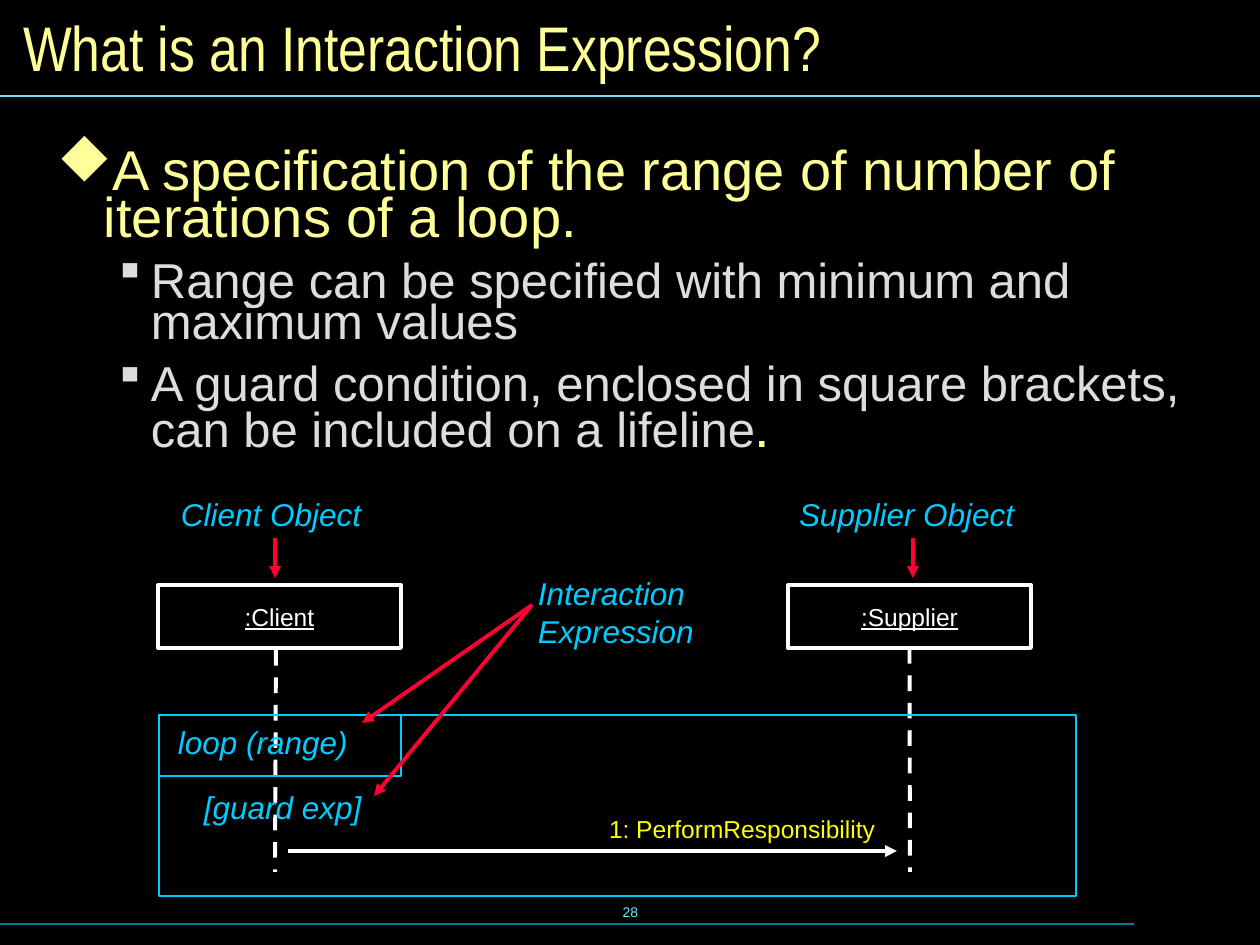
from lxml import etree
from pptx import Presentation
from pptx.dml.color import RGBColor
from pptx.enum.dml import MSO_LINE
from pptx.enum.shapes import MSO_CONNECTOR, MSO_SHAPE
from pptx.enum.text import MSO_ANCHOR, PP_ALIGN
from pptx.oxml.ns import qn
from pptx.util import Pt

STRAIGHT, RECTANGLE, DASH = MSO_CONNECTOR.STRAIGHT, MSO_SHAPE.RECTANGLE, MSO_LINE.DASH
MIDDLE, TOP = MSO_ANCHOR.MIDDLE, MSO_ANCHOR.TOP
CENTER, LEFT = PP_ALIGN.CENTER, PP_ALIGN.LEFT
BOTTOM_SIDE = 2
EMU_PER_PX = 914400 / 126

COLORS = {
    "black": "000000", "white": "FFFFFF", "cream": "FFFF99", "gray": "DDDDDD",
    "yellow": "FFFF00", "cyan": "00CCFF", "red": "FF0033",
    "rule": "73E1FF", "dim rule": "007E9F",
}

TITLE_FORMAT = {"size": 36, "name": "Arial Narrow", "color": "cream"}
POINT_FORMAT = {"size": 32, "color": "cream"}
DETAIL_FORMAT = {"size": 28, "color": "gray"}
LABEL_FORMAT = {"size": 18, "color": "cyan", "italic": True}
OBJECT_FORMAT = {"size": 14, "color": "white", "underline": True}
MESSAGE_FORMAT = {"size": 14, "color": "yellow"}
NUMBER_FORMAT = {"size": 8, "color": "rule"}

TITLE = "What is an Interaction Expression?"
# level, space before, runs
BULLETS = [
    (0, 0, [("A specification of the range of number of iterations of a loop.",
             POINT_FORMAT)]),
    (1, 10.5, [("Range can be specified with minimum and maximum values",
                DETAIL_FORMAT)]),
    (1, 12, [("A guard condition, enclosed in square brackets, "
              "can be included on a lifeline", DETAIL_FORMAT),
             (".", POINT_FORMAT)]),
]
# In Wingdings "u" is a diamond and "§" a small square.
BULLET_FONT = "Wingdings"
# bullet, colour, left margin px, hanging px
BULLET_LEVELS = [("u", "cream", 47, 47), ("§", "gray", 94, 32)]

# lines of text, (left, top, width, height), format
LABELS = [
    (["Client Object"], (181, 495, 200, 38), LABEL_FORMAT),
    (["Supplier Object"], (799, 495, 235, 38), LABEL_FORMAT),
    (["Interaction", "Expression"], (538, 574, 176, 76), LABEL_FORMAT),
    (["loop (range)"], (178, 723, 190, 38), LABEL_FORMAT),
    (["[guard exp]"], (204, 788, 178, 38), LABEL_FORMAT),
    (["1: PerformResponsibility"], (609, 814, 296, 29), MESSAGE_FORMAT),
]

CLIENT_BOX = (158, 585, 243, 63)
SUPPLIER_BOX = (788, 585, 243, 63)
LOOP_FRAME = (159, 715, 917, 181)
LOOP_TAB = (159, 715, 242, 61)

# start, end, colour, width
RULES = [
    ((0, 924), (1134, 924), "dim rule", 0.75),
    ((0, 96), (1260, 96), "rule", 0.75),
]
EXPRESSION_TIP = (532, 605)
ARROWS = [
    ((288, 851), (897, 851), "white", 2.25),
    ((275, 538), (275, 578), "red", 2.25),
    ((913, 538), (913, 578), "red", 2.25),
    (EXPRESSION_TIP, (362, 723), "red", 2.25),
    (EXPRESSION_TIP, (374, 796), "red", 2.25),
]
CLIENT_LIFELINE = ((276, 650), (275, 872), "white", 2.25)
SUPPLIER_LIFELINE = ((910, 650), (910, 872), "white", 2.25)


def px(value):
    return round(value * EMU_PER_PX)


def rgb(color):
    return RGBColor.from_string(COLORS[color])


def add_run(paragraph, text, text_format):
    run = paragraph.add_run()
    run.text = text
    values = {"name": "Arial", **text_format}
    run.font.color.rgb = rgb(values.pop("color"))
    values["size"] = Pt(values["size"])
    for attribute, value in values.items():
        setattr(run.font, attribute, value)


def add_text_box(slide, box, margins=(0, 0), anchor=TOP):
    """Add an empty text box and return its frame; margins are (side, top) px."""
    frame = slide.shapes.add_textbox(*map(px, box)).text_frame
    side, top = map(px, margins)
    settings = {"margin_left": side, "margin_right": side, "margin_top": top,
                "margin_bottom": top, "word_wrap": True, "vertical_anchor": anchor}
    for attribute, value in settings.items():
        setattr(frame, attribute, value)
    return frame


def fill_lines(frame, lines, text_format, align=LEFT):
    for index, line in enumerate(lines):
        paragraph = frame.add_paragraph() if index else frame.paragraphs[0]
        paragraph.alignment = align
        add_run(paragraph, line, text_format)


def add_bullets(frame):
    for index, (level, space, runs) in enumerate(BULLETS):
        paragraph = frame.add_paragraph() if index else frame.paragraphs[0]
        paragraph.level = level
        paragraph.line_spacing = 0.7
        paragraph.space_before = Pt(space)
        char, color, margin, hanging = BULLET_LEVELS[level]
        properties = paragraph._p.get_or_add_pPr()
        properties.set("marL", str(px(margin)))
        properties.set("indent", str(-px(hanging)))
        bullet_color = etree.SubElement(properties, qn("a:buClr"))
        etree.SubElement(bullet_color, qn("a:srgbClr"), val=COLORS[color])
        etree.SubElement(properties, qn("a:buFont"), typeface=BULLET_FONT,
                         pitchFamily="2", charset="2")
        etree.SubElement(properties, qn("a:buChar"), char=char)
        for text, text_format in runs:
            add_run(paragraph, text, text_format)


def add_line(slide, start, end, color, width, dash=None, arrow=False):
    line = slide.shapes.add_connector(STRAIGHT, *map(px, start + end))
    line.line.color.rgb = rgb(color)
    line.line.width = Pt(width)
    if dash:
        line.line.dash_style = dash
    if arrow:
        etree.SubElement(line.line._get_or_add_ln(), qn("a:tailEnd"), type="triangle")
    etree.SubElement(line._element.spPr, qn("a:effectLst"))
    return line


def add_outline(slide, box, color, width):
    rectangle = slide.shapes.add_shape(RECTANGLE, *map(px, box))
    rectangle.shadow.inherit = False
    rectangle.fill.background()
    rectangle.line.color.rgb = rgb(color)
    rectangle.line.width = Pt(width)
    return rectangle


def add_object(slide, name, box):
    rectangle = add_outline(slide, box, "white", 2.25)
    rectangle.text_frame.vertical_anchor = MIDDLE
    fill_lines(rectangle.text_frame, [name], OBJECT_FORMAT, CENTER)
    return rectangle


def main():
    presentation = Presentation()
    presentation.slide_width, presentation.slide_height = px(1260), px(945)
    slide = presentation.slides.add_slide(presentation.slide_layouts[6])
    slide.background.fill.solid()
    slide.background.fill.fore_color.rgb = rgb("black")

    for rule in RULES:
        add_line(slide, *rule)
    number = add_text_box(slide, (431, 880, 399, 63), (13, 6), MIDDLE)
    fill_lines(number, ["28"], NUMBER_FORMAT, CENTER)
    title = add_text_box(slide, (10, 10, 1240, 73), (13, 6), MIDDLE)
    fill_lines(title, [TITLE], TITLE_FORMAT)
    add_bullets(add_text_box(slide, (42, 145, 1208, 338), (15, 8)))

    add_object(slide, ":Client", CLIENT_BOX)
    supplier = add_object(slide, ":Supplier", SUPPLIER_BOX)
    add_line(slide, *CLIENT_LIFELINE, dash=DASH)
    supplier_lifeline = add_line(slide, *SUPPLIER_LIFELINE, dash=DASH)
    supplier_lifeline.begin_connect(supplier, BOTTOM_SIDE)
    for frame in (LOOP_FRAME, LOOP_TAB):
        add_outline(slide, frame, "cyan", 1)
    for lines, box, text_format in LABELS:
        fill_lines(add_text_box(slide, box), lines, text_format)
    for arrow in ARROWS:
        add_line(slide, *arrow, arrow=True)

    presentation.save("out.pptx")


if __name__ == "__main__":
    main()
